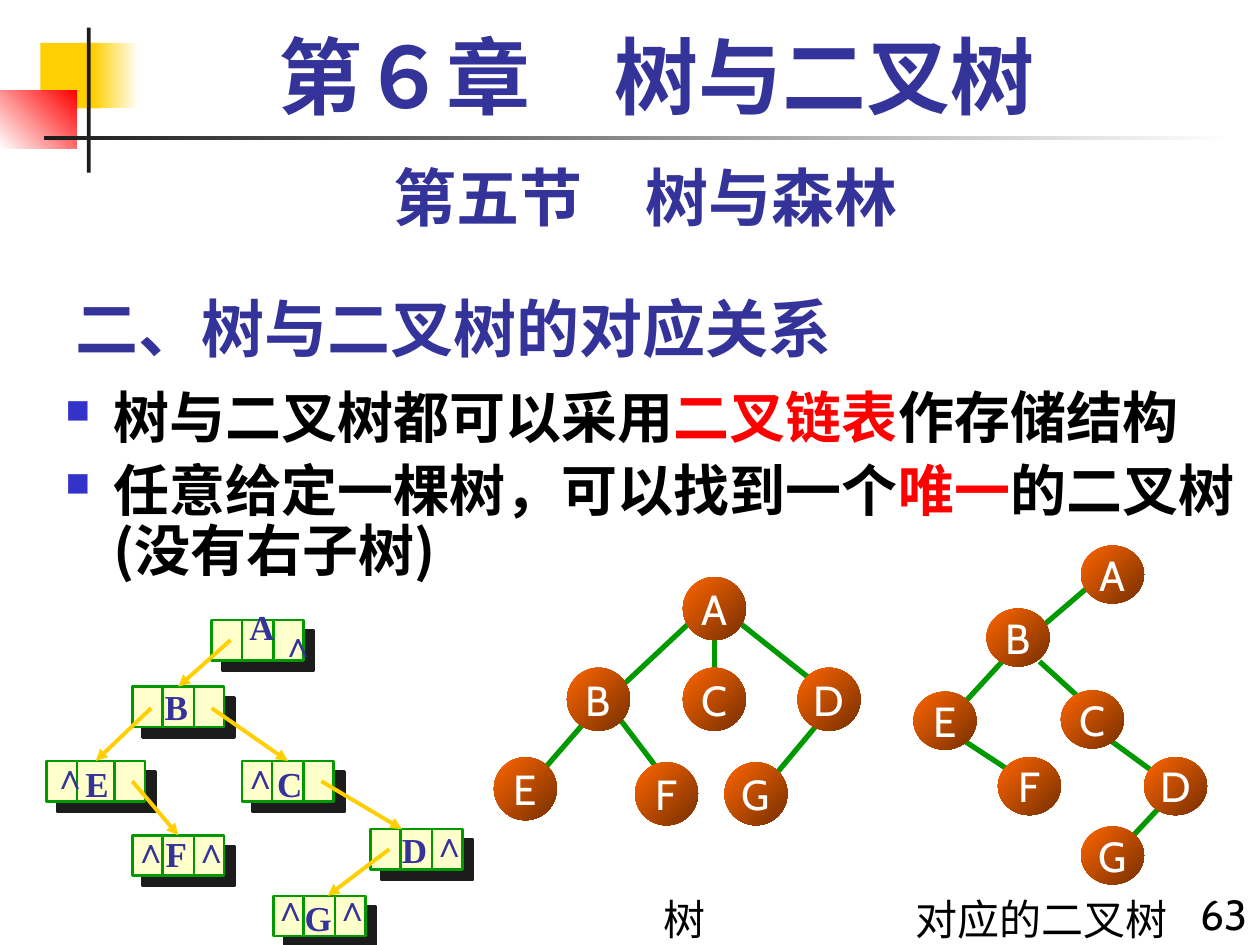
from lxml import etree
from pptx import Presentation
from pptx.dml.color import RGBColor
from pptx.enum.shapes import MSO_CONNECTOR, MSO_SHAPE
from pptx.enum.text import MSO_ANCHOR, PP_ALIGN
from pptx.oxml.ns import qn
from pptx.util import Inches, Pt

RECT, OVAL = MSO_SHAPE.RECTANGLE, MSO_SHAPE.OVAL
STRAIGHT = MSO_CONNECTOR.STRAIGHT
LEFT, CENTER, RIGHT = PP_ALIGN.LEFT, PP_ALIGN.CENTER, PP_ALIGN.RIGHT
TOP, MIDDLE, BOTTOM = MSO_ANCHOR.TOP, MSO_ANCHOR.MIDDLE, MSO_ANCHOR.BOTTOM
SANS, CJK, SERIF = "Cabin", "Noto Sans CJK SC", "Times New Roman"

COLORS = {
    "navy": "333399", "bullet": "3333CC", "black": "000000", "red": "FF0000",
    "white": "FFFFFF", "gold": "FFCF01", "ink": "1C1C1C", "green": "009900",
    "cream": "FFFFCC", "orange": "FF6600", "brown": "762F00",
}

DECORATIONS = [
    ((0.32, 0.34, 0.48, 0.52), ("gold",), 0),
    ((0.74, 0.34, 0.36, 0.52), ("gold", "white"), 0),
    ((0, 0.72, 0.61, 0.46), ("white", "red"), 45),
    ((0.69, 0.22, 0.03, 1.15), ("ink",), 0),
    ((0.35, 1.08, 9.45, 0.03), ("ink", "white"), 0),
]
HEADINGS = [
    ("第６章\u3000树与二叉树", (0.67, 0.17, 9.08, 0.83),
     dict(size=48, font=SERIF, align=CENTER, line=56)),
    ("第五节\u3000树与森林", (0.5, 1.17, 9.25, 0.7),
     dict(size=36, font=SANS, align=CENTER, line=46)),
    ("二、树与二叉树的对应关系", (0.5, 2.2, 8.91, 0.75),
     dict(size=36, font=CJK, anchor=BOTTOM)),
]
POINTS = [
    [("树与二叉树都可以采用", "black"), ("二叉链表", "red"), ("作存储结构", "black")],
    [("任意给定一棵树，可以找到一个", "black"), ("唯一", "red"),
     ("的二叉树(没有右子树)", "black")],
]
CAPTIONS = [
    ("树", (5.17, 7, 0.83, 0.5), dict(line=32)),
    ("对应的二叉树", (7.17, 7, 2.33, 0.5), dict(line=32)),
    ("63", (9.33, 7, 0.67, 0.5), dict(align=RIGHT)),
]
TREE = {
    "height": 0.5,
    "nodes": {"A": (5.42, 4.58), "B": (4.5, 5.3), "C": (5.42, 5.3), "D": (6.33, 5.3),
              "E": (3.92, 6.01), "F": (5.04, 6.05), "G": (5.75, 6.05)},
    "edges": [(5.79, 4.88, 6.42, 5.38), (5.54, 4.88, 4.92, 5.46), (5.67, 5.06, 5.67, 5.31),
              (4.79, 5.56, 4.33, 6.09), (4.83, 5.59, 5.21, 6.09), (6.62, 5.59, 6.17, 6.13)],
}
BINARY_TREE = {
    "height": 0.46,
    "nodes": {"A": (8.58, 4.33), "B": (7.83, 4.83), "C": (8.42, 5.48), "D": (9.08, 6.01),
              "E": (7.25, 5.49), "F": (7.92, 6.01), "G": (8.58, 6.56)},
    "edges": [(8.79, 5.86, 9.42, 6.32), (8.88, 4.45, 8.25, 4.99), (8.12, 5.07, 7.67, 5.56),
              (7.5, 5.78, 8.08, 6.16), (9.38, 6.22, 8.92, 6.71), (8.25, 5.25, 8.58, 5.55)],
}
RECORDS = {
    "A": (1.68, 4.92, 0.73), "B": (1.05, 5.45, 0.73), "E": (0.37, 6.04, 0.78),
    "C": (1.92, 6.04, 0.73), "D": (2.94, 6.58, 0.73), "G": (2.17, 7.11, 0.73),
    "F": (1.05, 6.63, 0.73),
}
RECORD_HEIGHT, FIELD = 0.32, 0.24
POINTERS = [
    ((1.83, 5.08, 1.39, 5.45), "B"), ((1.2, 5.62, 0.76, 6.04), "E"),
    ((1.68, 5.62, 2.26, 6.04), "C"), ((1.05, 6.2, 1.39, 6.63), "F"),
    ((2.55, 6.2, 3.19, 6.58), None), ((3.09, 6.74, 2.6, 7.11), None),
]
RECORD_TEXT = [
    ("A", 2.08, 4.76), ("B", 1.4, 5.39), ("C", 2.3, 6), ("D", 3.29, 6.53),
    ("E", 0.77, 6), ("F", 1.4, 6.56), ("G", 2.52, 7.07),
    ("∧", 0.52, 5.94), ("∧", 2.03, 5.94), ("∧", 1.16, 6.53), ("∧", 1.64, 6.53),
    ("∧", 2.27, 6.99), ("∧", 2.76, 6.99), ("∧", 3.53, 6.48), ("∧", 2.33, 4.89),
]


def rgb(name):
    return RGBColor.from_string(COLORS[name])


def add_run(p, text, size=24, font=SANS, color="black", bold=False):
    r = p.add_run()
    r.text = text
    r.font.size, r.font.name, r.font.bold = Pt(size), font, bold
    r.font.color.rgb = rgb(color)
    etree.SubElement(r.font._element, qn("a:ea"), typeface=CJK)


def write(sp, text, align=LEFT, anchor=TOP, wrap=True, line=None, **fmt):
    tf = sp.text_frame
    tf.word_wrap, tf.vertical_anchor = wrap, anchor
    p = tf.paragraphs[0]
    p.alignment = align
    if line:
        p.line_spacing = Pt(line)
    add_run(p, text, **fmt)


def add_text(shapes, text, box, **fmt):
    write(shapes.add_textbox(*map(Inches, box)), text, **fmt)


def add_shape(shapes, kind, box, fill, angle=0):
    sp = shapes.add_shape(kind, *map(Inches, box))
    sp.shadow.inherit = False
    sp.line.fill.background()
    if len(fill) == 1:
        sp.fill.solid()
        sp.fill.fore_color.rgb = rgb(fill[0])
    else:
        sp.fill.gradient()
        sp.fill.gradient_angle = angle
        for stop, name in zip(sp.fill.gradient_stops, fill):
            stop.color.rgb = rgb(name)
    return sp


def add_line(shapes, ends, color, width, arrow=False):
    c = shapes.add_connector(STRAIGHT, *map(Inches, ends))
    c.line.color.rgb, c.line.width = rgb(color), Pt(width)
    if arrow:
        etree.SubElement(c.line._get_or_add_ln(), qn("a:tailEnd"), type="triangle")
    etree.SubElement(c._element.spPr, qn("a:effectLst"))
    return c


def add_record(shapes, left, top, width):
    sp = add_shape(shapes, RECT, (left, top, width, RECORD_HEIGHT), ("cream",))
    sp.line.color.rgb, sp.line.width = rgb("green"), Pt(1.5)
    effects = sp._element.spPr.find(qn("a:effectLst"))
    shadow = etree.SubElement(effects, qn("a:outerShdw"), dist=str(Pt(8.5)),
                              dir="2700000", algn="ctr", rotWithShape="0")
    etree.SubElement(shadow, qn("a:srgbClr"), val=COLORS["ink"])
    for x in (left + FIELD, left + width - FIELD):
        add_line(shapes, (x, top, x, top + RECORD_HEIGHT), "green", 1.5)
    return sp


def add_tree(shapes, tree):
    for ends in tree["edges"]:
        add_line(shapes, ends, "green", 3)
    for letter, (x, y) in tree["nodes"].items():
        sp = add_shape(shapes, OVAL, (x, y, 0.5, tree["height"]), ("orange", "brown"), 315)
        sp.text_frame.margin_left = sp.text_frame.margin_right = 0
        write(sp, letter, align=CENTER, anchor=MIDDLE, wrap=False, color="white")


def add_linked_list(shapes):
    records = {k: add_record(shapes, *place) for k, place in RECORDS.items()}
    for ends, target in POINTERS:
        c = add_line(shapes, ends, "gold", 2.25, arrow=True)
        if target:
            c.end_connect(records[target], 0)
    for text, center, top in RECORD_TEXT:
        add_text(shapes, text, (center - 0.2, top, 0.4, 0.43), align=CENTER, anchor=MIDDLE,
                 wrap=False, size=20, font=SERIF, color="navy", bold=True)


def add_points(shapes):
    tf = shapes.add_textbox(*map(Inches, (0.42, 3.04, 9.58, 1.6))).text_frame
    tf.word_wrap = True
    for i, runs in enumerate(POINTS):
        p = tf.add_paragraph() if i else tf.paragraphs[0]
        p.line_spacing = Pt(34.3)
        if i:
            p.space_before = Pt(7.5)
        pPr = p._p.get_or_add_pPr()
        pPr.set("marL", str(Inches(0.38)))
        pPr.set("indent", str(-Inches(0.38)))
        color = etree.SubElement(pPr, qn("a:buClr"))
        etree.SubElement(color, qn("a:srgbClr"), val=COLORS["bullet"])
        etree.SubElement(pPr, qn("a:buSzPct"), val="60000")
        etree.SubElement(pPr, qn("a:buChar"), char="■")
        for text, name in runs:
            add_run(p, text, size=32, font=CJK, color=name, bold=True)


def main():
    prs = Presentation()
    prs.slide_width, prs.slide_height = Inches(10), Inches(7.5)
    s = prs.slides.add_slide(prs.slide_layouts[6])
    for box, fill, angle in DECORATIONS:
        add_shape(s.shapes, RECT, box, fill, angle)
    for text, box, fmt in HEADINGS:
        add_text(s.shapes, text, box, color="navy", bold=True, **fmt)
    add_points(s.shapes)
    add_tree(s.shapes.add_group_shape().shapes, TREE)
    add_linked_list(s.shapes.add_group_shape().shapes)
    add_tree(s.shapes.add_group_shape().shapes, BINARY_TREE)
    for text, box, fmt in CAPTIONS:
        add_text(s.shapes, text, box, **fmt)
    prs.save("out.pptx")


if __name__ == "__main__":
    main()
